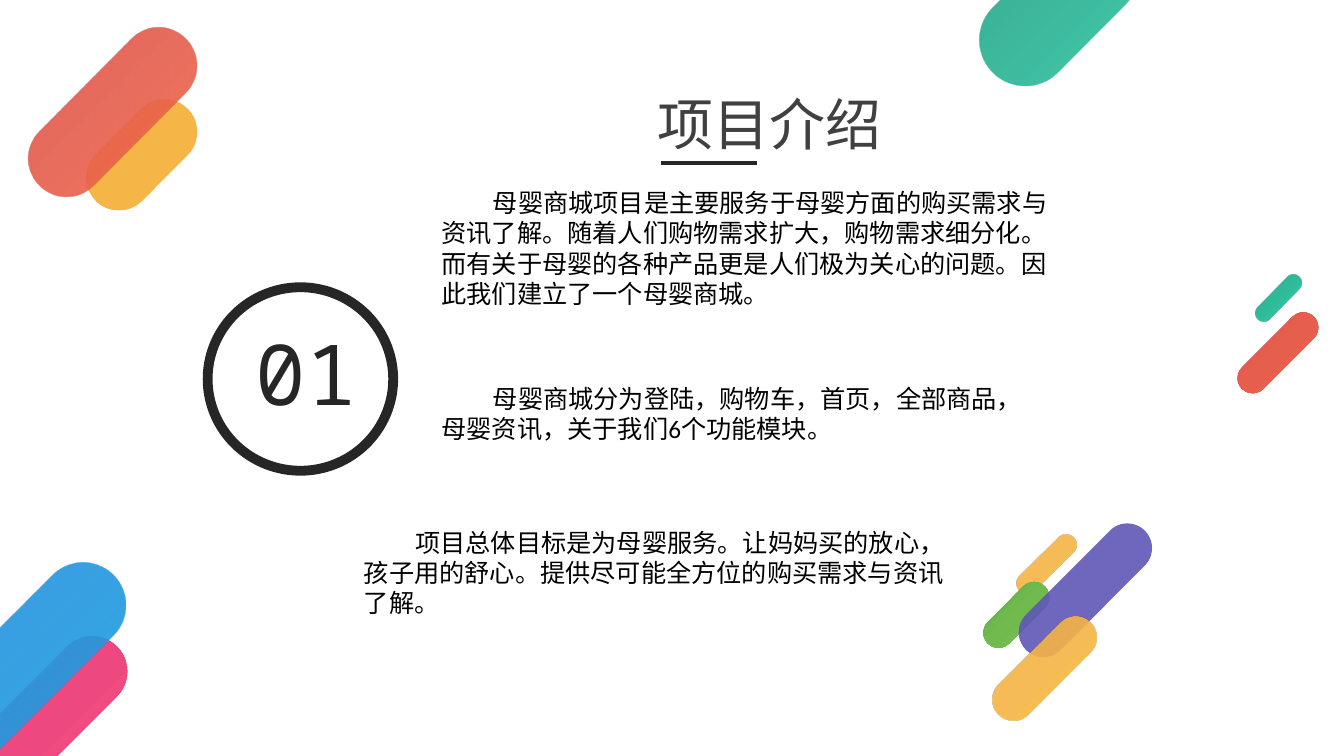
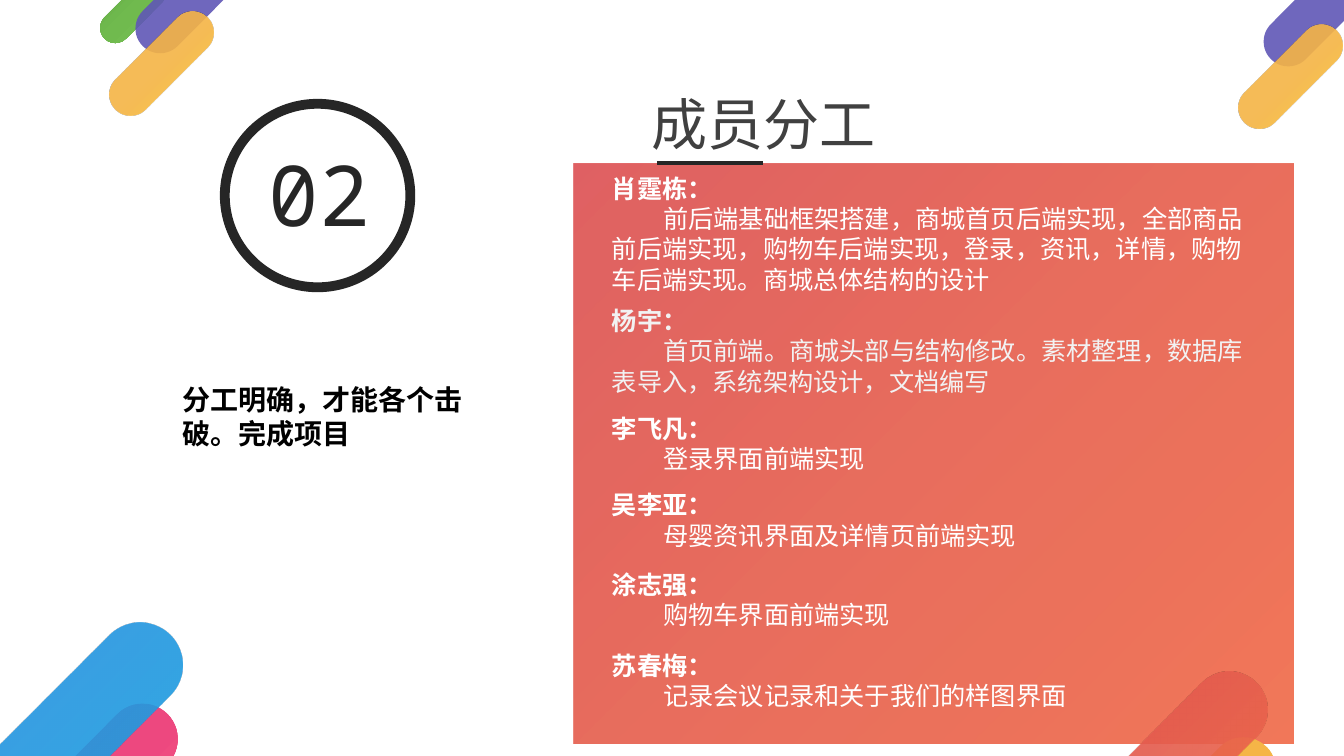
"""Build the project introduction and division of work slides."""
from dataclasses import dataclass

from lxml.etree import SubElement
from pptx import Presentation
from pptx.dml.color import RGBColor
from pptx.enum.shapes import MSO_CONNECTOR as Connector
from pptx.enum.shapes import MSO_SHAPE as Preset
from pptx.enum.text import MSO_ANCHOR as Anchor
from pptx.enum.text import MSO_AUTO_SIZE as AutoSize
from pptx.enum.text import PP_ALIGN as Align
from pptx.oxml import parse_xml
from pptx.oxml.ns import nsdecls, qn
from pptx.util import Inches, Pt

COLORS = {
    "ink": "262626",
    "title": "404040",
    "black": "000000",
    "white": "FFFFFF",
    "pale": "F2F2F2",
}
BODY_FONT = "Calibri"
NUMBER_FONT = "Noto Sans Mono"
TITLE_ONLY = 5
TILT = 314.9
INDENT = 0.51


@dataclass(frozen=True)
class Paint:
    stops: tuple[str, ...]
    alphas: tuple[int, ...] = (100, 100, 100)


@dataclass(frozen=True)
class Pill:
    width: float
    height: float
    paint: Paint


@dataclass(frozen=True)
class Place:
    pill: str
    left: float
    top: float


@dataclass(frozen=True)
class Passage:
    left: float
    top: float
    width: float
    height: float
    text: str
    name: str = ""
    color: str = "white"


SHEER = (90, 90, 90)
CORAL = ("F06A48", "E65F4D", "DC5153")
SHEER_CORAL = Paint(CORAL, SHEER)
SHEER_AMBER = Paint(("FDC62F", "F5B547", "F5B547"), SHEER)

PILLS = {
    "small amber": Pill(0.74, 0.21, SHEER_AMBER),
    "green": Pill(0.8, 0.3, Paint(("78C556", "70BA4E", "61A742"))),
    "purple": Pill(1.67, 0.49, Paint(("6057B6",), (90,))),
    "amber": Pill(1.28, 0.42, SHEER_AMBER),
    "pink": Pill(1.63, 0.7, Paint(("F55284", "ED487F", "EB457D"))),
    "blue": Pill(2.48, 0.85, Paint(("19A2DF", "2399E0", "2D91E0"), SHEER)),
    "small coral": Pill(1.01, 0.3, Paint(CORAL)),
    "small teal": Pill(0.58, 0.17, Paint(("38CBA9", "30BC9B", "24A788"), (90, 100, 100))),
    "wide amber": Pill(1.29, 0.65, Paint(("F5B647", "F5B547", "F5B547"))),
    "coral": Pill(2.05, 0.76, SHEER_CORAL),
    "teal": Pill(1.84, 0.91, Paint(("37CAA8", "2AB394", "22A385"), SHEER)),
}

INTRO_PILLS = (
    Place("small amber", 10.01, 5.49),
    Place("green", 9.68, 5.95),
    Place("purple", 9.93, 5.61),
    Place("amber", 9.72, 6.42),
    Place("pink", -0.23, 6.64),
    Place("blue", -1, 6.16),
    Place("small coral", 12.17, 3.35),
    Place("small teal", 12.39, 2.87),
    Place("wide amber", 0.76, 1.21),
    Place("coral", 0.09, 0.73),
    Place("teal", 9.58, -0.39),
)
TEAM_PILLS = (
    Place("green", 0.92, -0.05),
    Place("purple", 1.17, -0.38),
    Place("amber", 0.96, 0.42),
    Place("pink", 0.27, 7.31),
    Place("blue", -0.43, 6.75),
    Place("wide amber", 11.46, 7.54),
    Place("coral", 10.71, 7.12),
    Place("purple", 12.36, -0.25),
    Place("amber", 12.16, 0.55),
)

INTRO = (
    Passage(4.28, 3.75, 6.18, 0.71,
            "母婴商城分为登陆，购物车，首页，全部商品，母婴资讯，关于我们6个功能模块。",
            color="black"),
    Passage(4.28, 1.81, 6.43, 1.31,
            "母婴商城项目是主要服务于母婴方面的购买需求与资讯了解。随着人们购物需求扩大，"
            "购物需求细分化。而有关于母婴的各种产品更是人们极为关心的问题。"
            "因此我们建立了一个母婴商城。",
            color="black"),
    Passage(3.51, 5.18, 6.02, 1.31,
            "项目总体目标是为母婴服务。让妈妈买的放心，孩子用的舒心。"
            "提供尽可能全方位的购买需求与资讯了解。",
            color="black"),
)
TEAM = (
    Passage(5.97, 1.67, 6.47, 1.31,
            "前后端基础框架搭建，商城首页后端实现，全部商品前后端实现，购物车后端实现，"
            "登录，资讯，详情，购物车后端实现。商城总体结构的设计", "肖霆栋："),
    Passage(5.97, 2.98, 6.47, 1.01,
            "首页前端。商城头部与结构修改。素材整理，数据库表导入，系统架构设计，文档编写",
            "杨宇：", "pale"),
    Passage(5.97, 4.05, 5.46, 0.71, "登录界面前端实现", "李飞凡："),
    Passage(5.97, 4.81, 6.08, 0.71, "母婴资讯界面及详情页前端实现", "吴李亚："),
    Passage(5.97, 5.6, 6.46, 0.71, "购物车界面前端实现", "涂志强："),
    Passage(5.97, 6.4, 6.23, 0.71, "记录会议记录和关于我们的样图界面", "苏春梅："),
)


def rgb(name: str) -> RGBColor:
    return RGBColor.from_string(COLORS[name])


def color_xml(value: str, alpha: int) -> str:
    return f'<a:srgbClr val="{value}"><a:alpha val="{alpha * 1000}"/></a:srgbClr>'


def apply_paint(shape, paint: Paint) -> None:
    tints = [color_xml(*pair) for pair in zip(paint.stops, paint.alphas)]
    if len(tints) == 1:
        fill = f'<a:solidFill {nsdecls("a")}>{tints[0]}</a:solidFill>'
    else:
        stops = "".join(f'<a:gs pos="{index * 50000}">{tint}</a:gs>'
                        for index, tint in enumerate(tints))
        fill = (f'<a:gradFill {nsdecls("a")} rotWithShape="1"><a:gsLst>{stops}</a:gsLst>'
                '<a:path path="circle"><a:fillToRect l="100000" t="100000"/></a:path>'
                '</a:gradFill>')
    shape.element.spPr.find(qn("a:prstGeom")).addnext(parse_xml(fill))


def add_shape(page, preset, left: float, top: float, width: float, height: float,
              paint: Paint | None = None):
    shape = page.shapes.add_shape(preset, Inches(left), Inches(top),
                                  Inches(width), Inches(height))
    shape.shadow.inherit = False
    if paint:
        apply_paint(shape, paint)
        shape.line.fill.background()
    else:
        shape.fill.background()
    return shape


def add_pills(page, places: tuple[Place, ...]) -> None:
    for place in places:
        pill = PILLS[place.pill]
        shape = add_shape(page, Preset.ROUNDED_RECTANGLE, place.left, place.top,
                          pill.width, pill.height, pill.paint)
        shape.adjustments[0] = 0.5
        shape.rotation = TILT


def write(para, text: str, *, size: float = 18, color: str = "black", bold: bool = False,
          font: str = BODY_FONT, align=Align.LEFT, indent: float = 0,
          spacing: float = 0) -> None:
    para.alignment = align
    if indent:
        para._p.get_or_add_pPr().set("indent", str(Inches(indent)))
    span = para.add_run()
    span.text = text
    span.font.size = Pt(size)
    span.font.name = font
    span.font.bold = bold
    span.font.color.rgb = rgb(color)
    if spacing:
        span._r.get_or_add_rPr().set("spc", str(round(spacing * 100)))


def prepare_frame(box):
    frame = box.text_frame
    frame.word_wrap = True
    frame.auto_size = AutoSize.SHAPE_TO_FIT_TEXT
    frame.vertical_anchor = Anchor.TOP
    return frame


def add_frame(page, left: float, top: float, width: float, height: float):
    return prepare_frame(page.shapes.add_textbox(Inches(left), Inches(top),
                                                 Inches(width), Inches(height)))


def add_passage(page, passage: Passage) -> None:
    frame = add_frame(page, passage.left, passage.top, passage.width, passage.height)
    para = frame.paragraphs[0]
    if passage.name:
        write(para, passage.name, color=passage.color, bold=True)
        para = frame.add_paragraph()
    write(para, passage.text, color=passage.color, indent=INDENT)


def add_title(page, text: str, left: float, rule_start: float, rule_end: float) -> None:
    title = page.shapes.title
    title.left, title.top = Inches(left), Inches(0.84)
    title.width, title.height = Inches(3.66), Inches(0.77)
    write(prepare_frame(title).paragraphs[0], text, size=40, color="title")
    rule = page.shapes.add_connector(Connector.STRAIGHT, Inches(rule_start), Inches(1.62),
                                     Inches(rule_end), Inches(1.62))
    rule.line.color.rgb = rgb("ink")
    rule.line.width = Pt(3)
    SubElement(rule.element.spPr, qn("a:effectLst"))


def add_badge(page, number: str, ring_left: float, ring_top: float,
              text_left: float, text_top: float) -> None:
    ring = add_shape(page, Preset.OVAL, ring_left, ring_top, 1.84, 1.82)
    ring.line.color.rgb = rgb("ink")
    ring.line.width = Pt(7)
    frame = add_frame(page, text_left, text_top, 2.49, 1.11)
    write(frame.paragraphs[0], number, size=60, color="ink", font=NUMBER_FONT,
          align=Align.CENTER, spacing=0.8)


def add_page(deck):
    return deck.slides.add_slide(deck.slide_layouts[TITLE_ONLY])


def build_intro(deck) -> None:
    page = add_page(deck)
    add_pills(page, INTRO_PILLS)
    add_badge(page, "01", 2.06, 2.85, 1.79, 3.14)
    add_title(page, "项目介绍", 6.42, 6.56, 7.51)
    for passage in INTRO:
        add_passage(page, passage)


def build_team(deck) -> None:
    page = add_page(deck)
    add_shape(page, Preset.RECTANGLE, 5.69, 1.62, 7.14, 5.76, SHEER_CORAL)
    add_pills(page, TEAM_PILLS)
    add_badge(page, "02", 2.23, 1.03, 1.92, 1.36)
    add_title(page, "成员分工", 6.36, 6.52, 7.57)
    motto = add_frame(page, 1.71, 3.75, 3.17, 0.77)
    write(motto.paragraphs[0], "分工明确，才能各个击破。完成项目", size=20, bold=True)
    for passage in TEAM:
        add_passage(page, passage)


def main() -> None:
    deck = Presentation()
    deck.slide_width, deck.slide_height = Inches(13.33), Inches(7.5)
    build_intro(deck)
    build_team(deck)
    deck.save("out.pptx")


if __name__ == "__main__":
    main()
